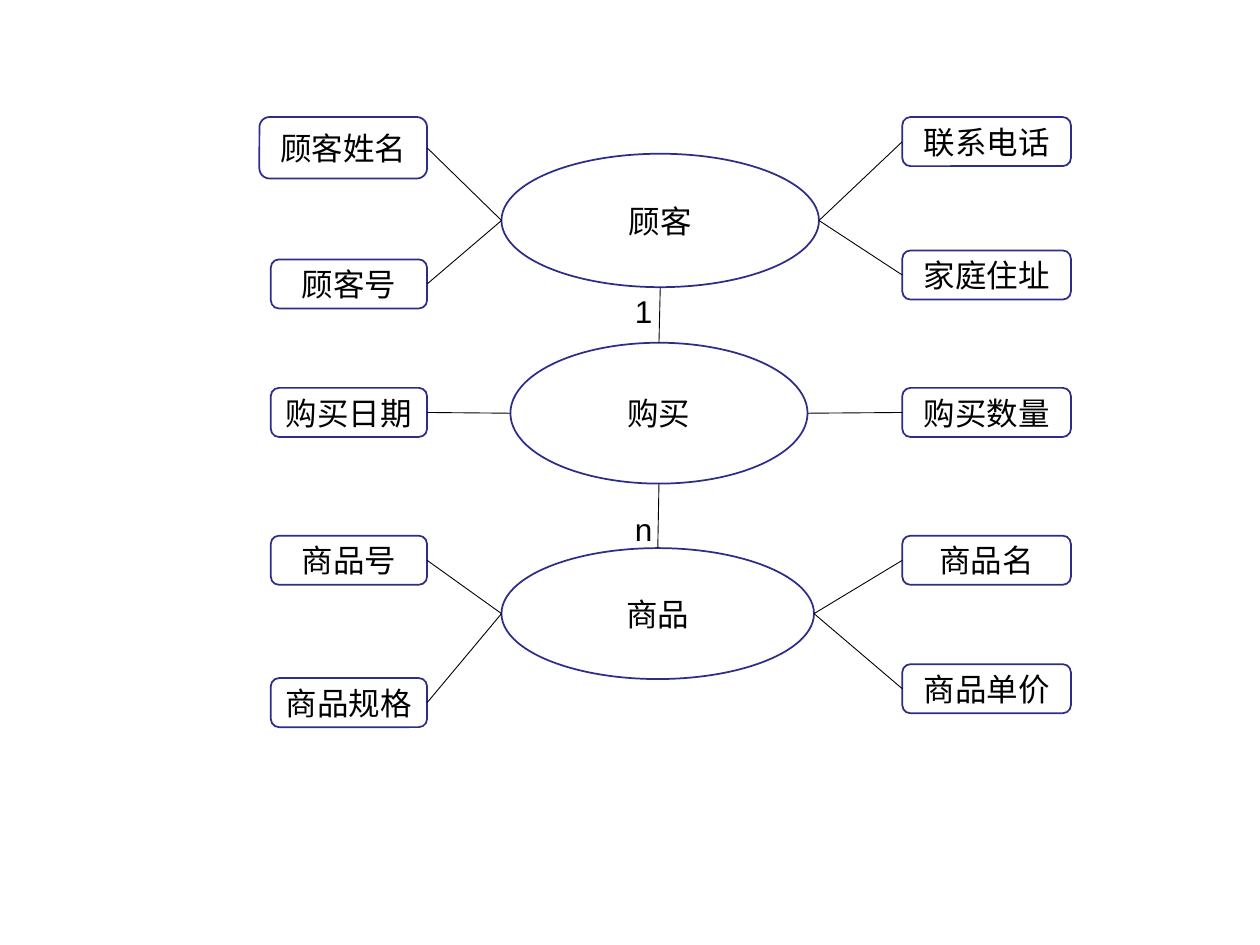
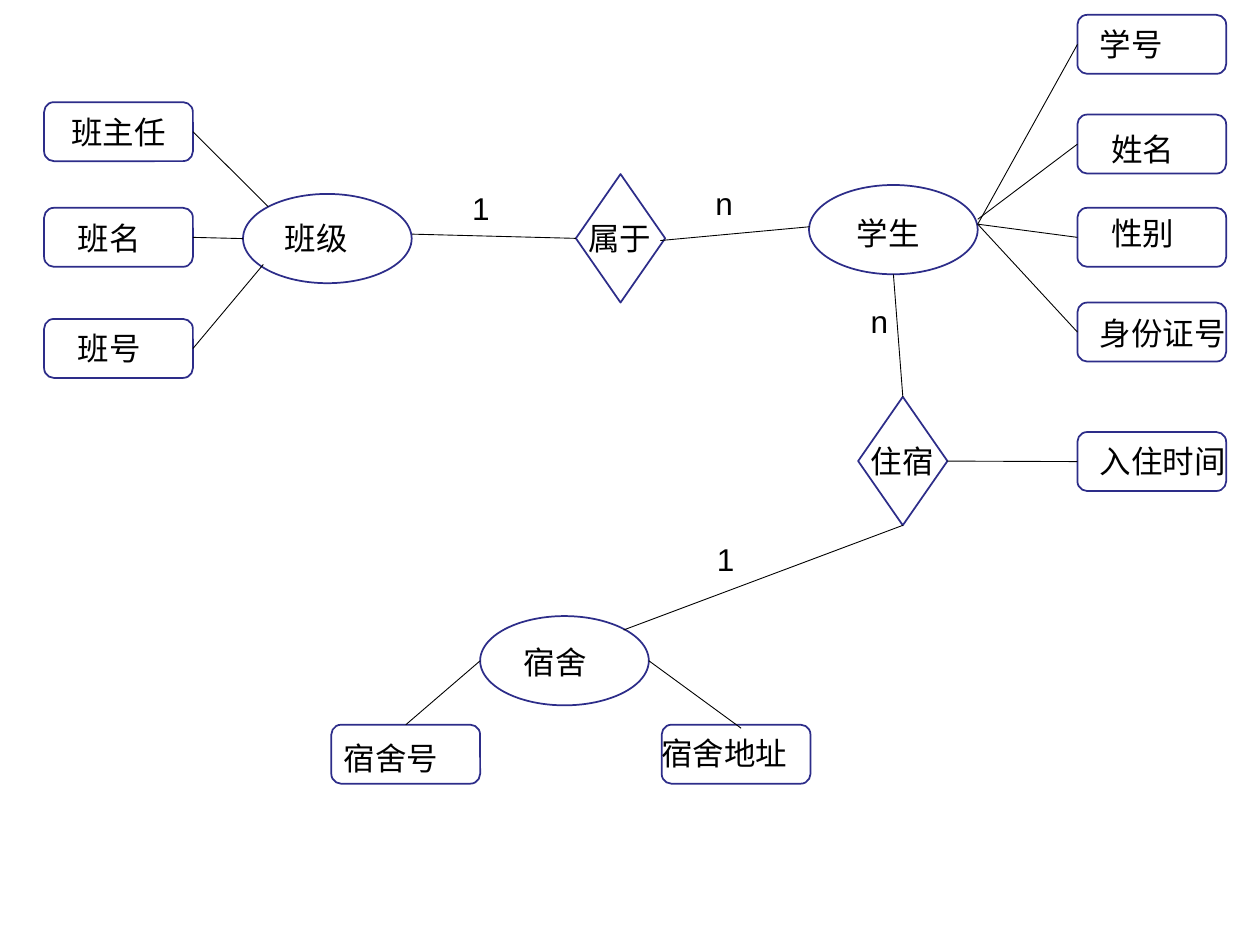
import pptx
import pptx.dml.color
import pptx.enum.shapes
import pptx.enum.text
import pptx.oxml.ns
import pptx.util
import lxml.etree

Cm = pptx.util.Cm
Pt = pptx.util.Pt
SHAPE = pptx.enum.shapes.MSO_SHAPE

COLORS = {"fill": "FFFFFF", "outline": "2D2D89", "ink": "000000"}
FONT, FONT_SIZE = "Arial", 18
LABEL_HEIGHT = 1.02
KINDS = {
    "entity": SHAPE.OVAL,
    "relation": SHAPE.DIAMOND,
    "attribute": SHAPE.ROUNDED_RECTANGLE,
}
TOP, LEFT, BOTTOM, RIGHT = range(4)

# Slide 1: lengths in cm, as left, top, width, height
PURCHASE_ENTITIES = {
    "顾客": (10.11, 3.1, 6.4, 2.69),
    "购买": (10.29, 6.91, 5.99, 2.84),
    "商品": (10.11, 11.05, 6.3, 2.64),
}
NAME_BOX = (5.23, 2.36, 3.38, 1.24)
LEFT_COLUMN, RIGHT_COLUMN = (5.46, 3.15), (18.19, 3.4)  # left, width
ATTRIBUTE_HEIGHT = 0.99
# Attribute, its top, its entity
LEFT_ATTRIBUTES = [
    ("顾客号", 5.23, "顾客"), ("购买日期", 7.82, "购买"),
    ("商品号", 10.8, "商品"), ("商品规格", 13.67, "商品"),
]
RIGHT_ATTRIBUTES = [
    ("联系电话", 2.36, "顾客"), ("家庭住址", 5.05, "顾客"),
    ("购买数量", 7.82, "购买"), ("商品名", 10.8, "商品"),
    ("商品单价", 13.39, "商品"),
]
PURCHASE_CARDINALITIES = [("1", 12.55, 5.77, 0.56), ("n", 12.55, 10.16, 0.97)]

# Slide 2: name, kind, left and top of the node, then left, top and width of its label
DORM_SIZES = {"entity": (3.4, 1.8), "relation": (1.8, 2.59), "attribute": (3, 1.19)}
DORM_NODES = [
    ("班级", "entity", (4.9, 3.91), (5.49, 4.29, 2.36)),
    ("宿舍", "entity", (9.68, 12.42), (10.31, 12.83, 2.13)),
    ("学生", "entity", (16.31, 3.73), (17.02, 4.19, 3.18)),
    ("属于", "relation", (11.61, 3.51), (11.61, 4.29, 2.13)),
    ("住宿", "relation", (17.3, 8), (17.3, 8.79, 2.41)),
    ("入住时间", "attribute", (21.72, 8.71), (21.92, 8.79, 3.3)),
    ("身份证号", "attribute", (21.72, 6.1), (21.92, 6.2, 3.3)),
    ("性别", "attribute", (21.72, 4.19), (22.15, 4.19, 2.13)),
    ("姓名", "attribute", (21.72, 2.31), (22.15, 2.49, 2.13)),
    ("学号", "attribute", (21.72, 0.3), (21.92, 0.38, 2.13)),
    ("宿舍地址", "attribute", (13.34, 14.61), (13.08, 14.68, 3.71)),
    ("宿舍号", "attribute", (6.68, 14.61), (6.68, 14.78, 3)),
    ("班主任", "attribute", (0.89, 2.06), None),
    ("班名", "attribute", (0.89, 4.19), (1.32, 4.29, 2.13)),
    ("班号", "attribute", (0.89, 6.43), (1.32, 6.5, 2.13)),
]
# Each end is a node and its side, or a free point
STUDENT_EDGE = (19.71, 4.52)
DORM_LINKS = [
    (("班主任", RIGHT), (5.41, 4.17)),
    (("班名", RIGHT), ("班级", LEFT)),
    (("班号", RIGHT), (5.31, 5.33)),
    (("属于", LEFT), (8.31, 4.72)),
    ((13.31, 4.85), (16.33, 4.57)),
    (("学号", LEFT), STUDENT_EDGE),
    (("姓名", LEFT), (19.71, 4.42)),
    (("性别", LEFT), STUDENT_EDGE),
    (("身份证号", LEFT), STUDENT_EDGE),
    (("宿舍号", TOP), ("宿舍", LEFT)),
    (("宿舍", RIGHT), (14.94, 14.68)),
    ((12.57, 12.7), ("住宿", BOTTOM)),
    (("学生", BOTTOM), ("住宿", TOP)),
    (("住宿", RIGHT), ("入住时间", LEFT)),
]
DORM_CARDINALITIES = [
    ("1", 9.27, 3.68, 1.42), ("n", 14.17, 3.58, 1.32),
    ("n", 17.3, 5.97, 0.99), ("1", 14.2, 10.77, 1.7),
]


def rgb(name):
    return pptx.dml.color.RGBColor.from_string(COLORS[name])


def write(shape, text, alignment):
    paragraph = shape.text_frame.paragraphs[0]
    paragraph.text = text
    paragraph.alignment = alignment
    paragraph.font.name = FONT
    paragraph.font.size = Pt(FONT_SIZE)
    paragraph.font.color.rgb = rgb("ink")


def add_node(slide, kind, box, text=None):
    shape = slide.shapes.add_shape(KINDS[kind], *map(Cm, box))
    shape.shadow.inherit = False
    shape.fill.solid()
    shape.fill.fore_color.rgb = rgb("fill")
    shape.line.color.rgb = rgb("outline")
    shape.line.width = Pt(1)
    if text:
        shape.text_frame.word_wrap = False
        shape.text_frame.vertical_anchor = pptx.enum.text.MSO_ANCHOR.MIDDLE
        write(shape, text, pptx.enum.text.PP_ALIGN.CENTER)
    return shape


def add_label(slide, text, left, top, width):
    box = slide.shapes.add_textbox(Cm(left), Cm(top), Cm(width), Cm(LABEL_HEIGHT))
    box.text_frame.word_wrap = True
    box.text_frame.auto_size = pptx.enum.text.MSO_AUTO_SIZE.SHAPE_TO_FIT_TEXT
    write(box, text, pptx.enum.text.PP_ALIGN.LEFT)


def side_middle(shape, side):
    across = {LEFT: 0, RIGHT: shape.width}.get(side, shape.width // 2)
    down = {TOP: 0, BOTTOM: shape.height}.get(side, shape.height // 2)
    return shape.left + across, shape.top + down


def add_link(slide, nodes, start, end):
    def is_node(place):
        return place[0] in nodes

    points = [
        side_middle(nodes[place[0]], place[1]) if is_node(place) else map(Cm, place)
        for place in (start, end)
    ]
    line = slide.shapes.add_connector(
        pptx.enum.shapes.MSO_CONNECTOR.STRAIGHT, *points[0], *points[1])
    line.line.color.rgb = rgb("ink")
    line.line.width = Pt(0.5)
    properties = line._element.spPr
    lxml.etree.SubElement(properties, pptx.oxml.ns.qn("a:effectLst"))
    # Ellipses number their connection sites differently, so they stay unjoined
    for place, connect in ((start, line.begin_connect), (end, line.end_connect)):
        if is_node(place) and nodes[place[0]].auto_shape_type != SHAPE.OVAL:
            connect(nodes[place[0]], place[1])


def build_purchase_slide(slide):
    # Entities and attributes
    nodes = {name: add_node(slide, "entity", box, name)
             for name, box in PURCHASE_ENTITIES.items()}
    nodes["顾客姓名"] = add_node(slide, "attribute", NAME_BOX, "顾客姓名")
    links = [(("顾客姓名", RIGHT), ("顾客", LEFT))]
    for attributes, (left, width), inner, outer in (
            (LEFT_ATTRIBUTES, LEFT_COLUMN, RIGHT, LEFT),
            (RIGHT_ATTRIBUTES, RIGHT_COLUMN, LEFT, RIGHT)):
        for name, top, entity in attributes:
            box = (left, top, width, ATTRIBUTE_HEIGHT)
            nodes[name] = add_node(slide, "attribute", box, name)
            links.append(((name, inner), (entity, outer)))

    # Lines down the chain of entities
    chain = list(PURCHASE_ENTITIES)
    links += [((upper, BOTTOM), (lower, TOP)) for upper, lower in zip(chain, chain[1:])]
    for start, end in links:
        add_link(slide, nodes, start, end)
    for cardinality in PURCHASE_CARDINALITIES:
        add_label(slide, *cardinality)


def build_dorm_slide(slide):
    # Nodes first, then their labels, lines and cardinalities
    nodes = {}
    for name, kind, corner, label in DORM_NODES:
        text = None if label else name
        nodes[name] = add_node(slide, kind, corner + DORM_SIZES[kind], text)
    for name, _, _, label in DORM_NODES:
        if label:
            add_label(slide, name, *label)
    for start, end in DORM_LINKS:
        add_link(slide, nodes, start, end)
    for cardinality in DORM_CARDINALITIES:
        add_label(slide, *cardinality)


def main():
    presentation = pptx.Presentation()
    presentation.slide_width, presentation.slide_height = Cm(25.4), Cm(19.05)
    blank_layout = presentation.slide_layouts[6]
    for build in (build_purchase_slide, build_dorm_slide):
        build(presentation.slides.add_slide(blank_layout))
    presentation.save("out.pptx")


if __name__ == "__main__":
    main()
